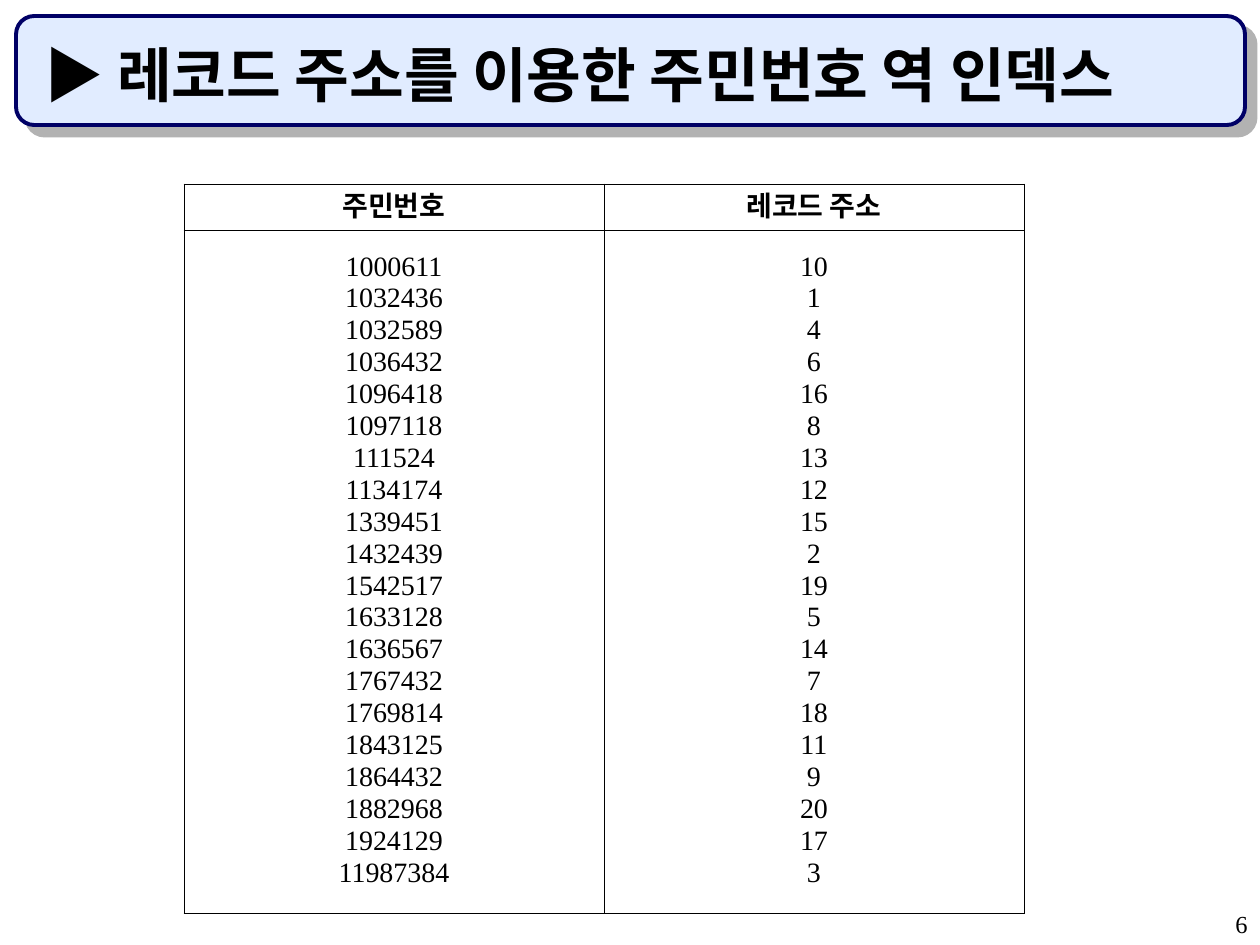
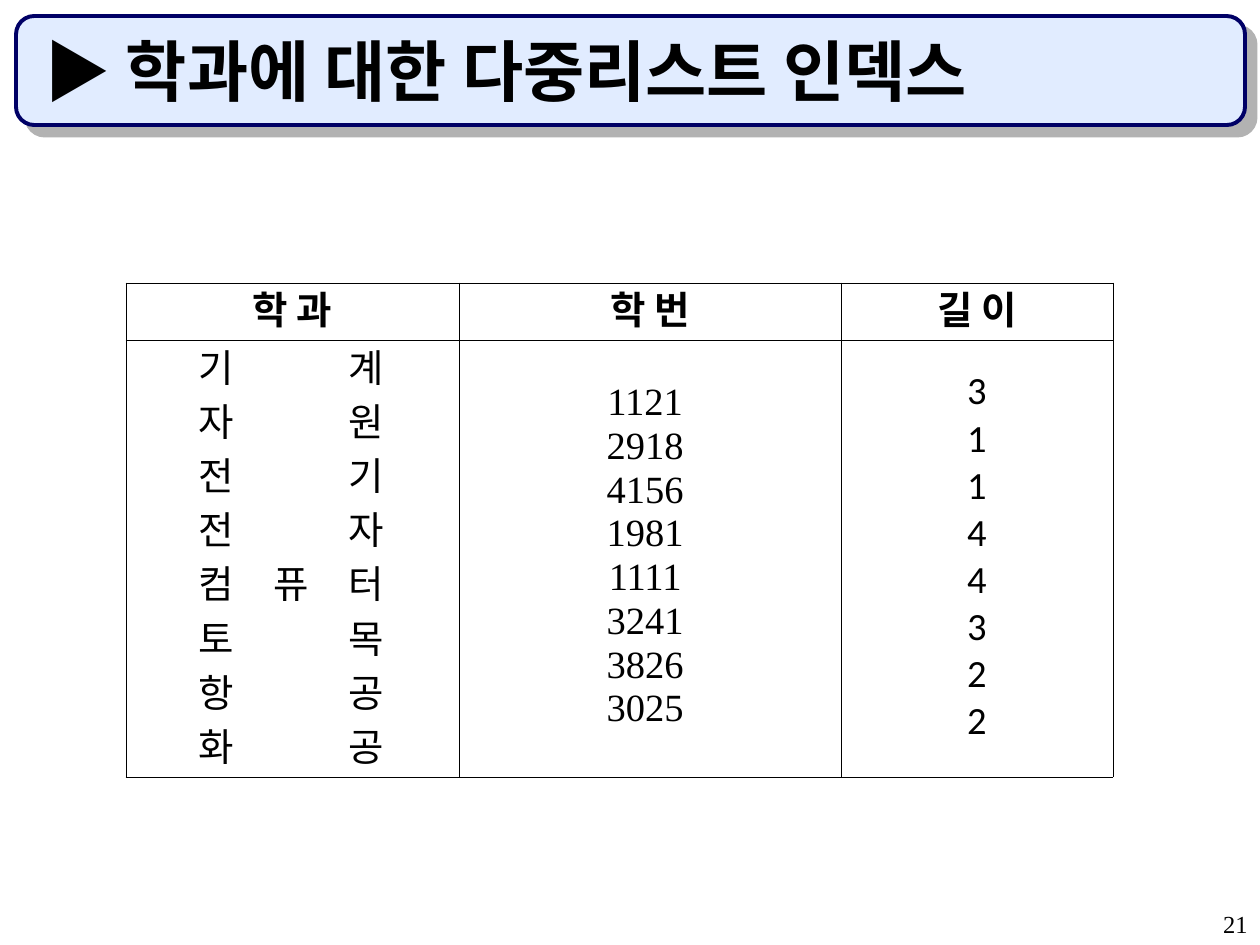
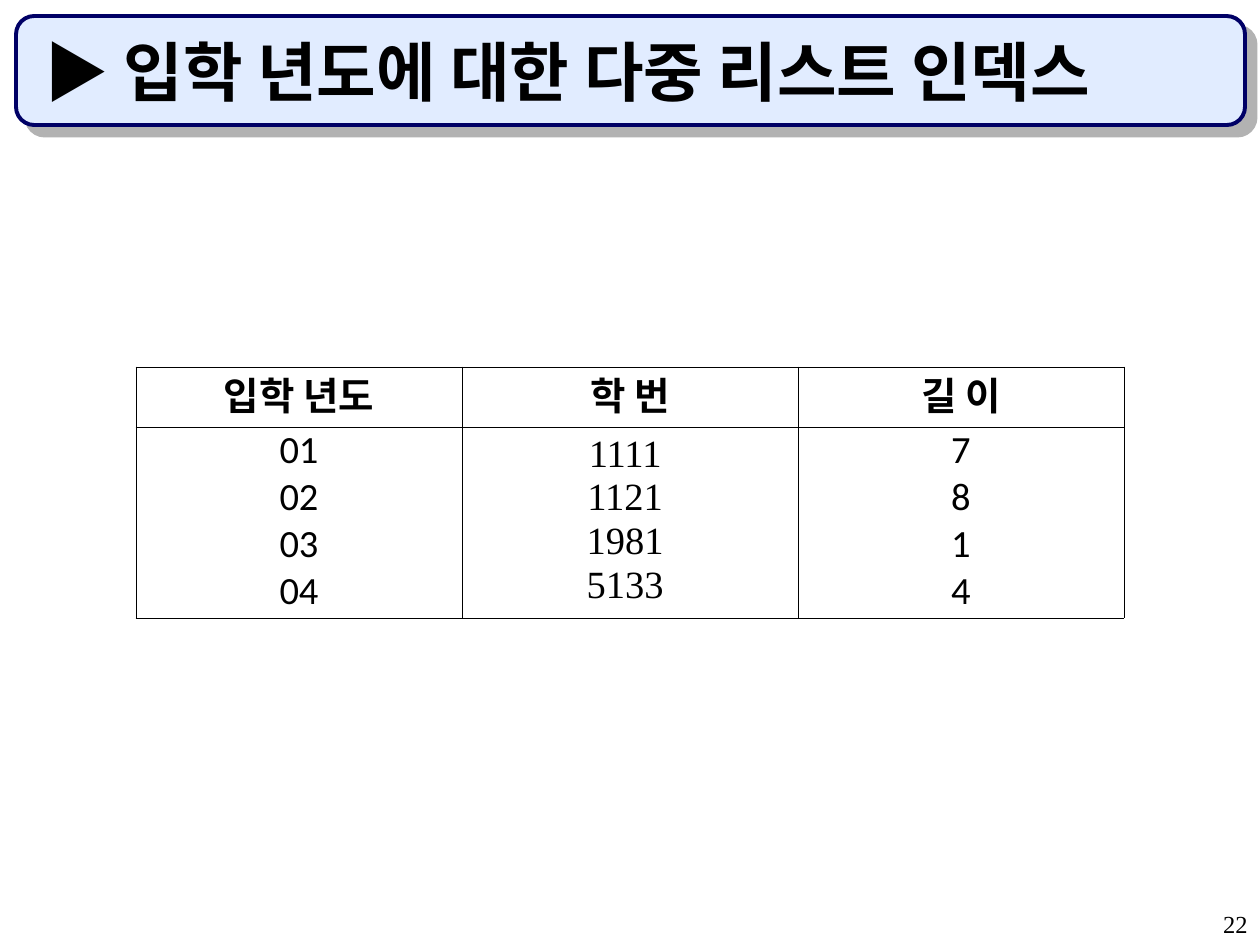
from dataclasses import dataclass
from typing import NamedTuple

from lxml.etree import SubElement
from pptx import Presentation
from pptx.dml.color import RGBColor
from pptx.enum.shapes import MSO_SHAPE
from pptx.enum.text import MSO_ANCHOR, PP_ALIGN
from pptx.oxml.ns import qn
from pptx.slide import Slide
from pptx.text.text import TextFrame
from pptx.util import Emu, Pt

PX_PER_INCH = 126
SERIF, SANS, HANGUL = "Times New Roman", "Calibri", "Noto Sans CJK KR"


@dataclass(frozen=True)
class Theme:
    """Colours and type sizes shared by all slides."""
    ink: str = "000000"
    band: str = "E1ECFF"
    band_edge: str = "000066"
    band_shadow: str = "B2B2B2"
    band_edge_width: float = 2.25
    shadow_distance: float = 8.5
    rule_width: float = 0.45
    page_size: int = 14
    line_spacing: float = 0.8


class Box(NamedTuple):
    """A rectangle in px."""
    left: int
    top: int
    width: int
    height: int


@dataclass(frozen=True)
class Column:
    """One table column: its heading and the lines of its body cell."""
    heading: str
    width: int
    lines: list[str]
    font: str = SERIF
    tab_step: int = 0
    indent: int = 0


@dataclass(frozen=True)
class IndexSlide:
    """The content of one index slide."""
    title: str
    title_size: int
    page: int
    left: int
    top: int
    heading_height: int
    body_height: int
    size: int
    space_before: float
    columns: list[Column]


THEME = Theme()
BAND = Box(16, 16, 1229, 109)
TITLE = Box(32, 32, 1187, 84)
PAGE = Box(998, 903, 262, 42)

INDEXES = [
    IndexSlide(
        "▶ 레코드 주소를 이용한 주민번호 역 인덱스", 34, 6, 184, 184, 46, 683, 16, 4,
        [
            Column("주민번호", 420, [
                "1000611", "1032436", "1032589", "1036432", "1096418",
                "1097118", "111524", "1134174", "1339451", "1432439",
                "1542517", "1633128", "1636567", "1767432", "1769814",
                "1843125", "1864432", "1882968", "1924129", "11987384"]),
            Column("레코드 주소", 420, [
                "10", "1", "4", "6", "16", "8", "13", "12", "15", "2",
                "19", "5", "14", "7", "18", "11", "9", "20", "17", "3"]),
        ]),
    IndexSlide(
        "▶ 학과에 대한 다중리스트 인덱스", 38, 21, 126, 283, 57, 437, 22, 5.5,
        [
            Column("학 과", 333, [
                "기\t계", "자\t원", "전\t기", "전\t자",
                "컴\t퓨\t터", "토\t목", "항\t공", "화\t공"],
                HANGUL, tab_step=75, indent=73),
            Column("학 번", 382, [
                "1121 ", "2918 ", "4156 ", "1981 ",
                "1111 ", "3241 ", "3826 ", "3025 "]),
            Column("길 이", 272, ["3", "1", "1", "4", "4", "3", "2", "2"], SANS),
        ]),
    IndexSlide(
        "▶ 입학 년도에 대한 다중 리스트 인덱스", 37, 22, 136, 367, 60, 191, 22, 5.5,
        [
            Column("입학 년도", 326, ["01", "02", "03", "04"], SANS),
            Column("학 번", 336, ["1111 ", "1121 ", "1981 ", "5133 "]),
            Column("길 이", 326, ["7", "8", "1", "4"], SANS),
        ]),
]


def px(length: int) -> Emu:
    """Turn px into EMU."""
    return Emu(round(length * 914400 / PX_PER_INCH))


def emu_box(box: Box) -> list[Emu]:
    """Turn a px box into EMU lengths."""
    return [px(length) for length in box]


def add_tabs(paragraph, line: str, step: int) -> None:
    """Set stops that spread the line's parts over two steps."""
    parts = line.count("\t")
    stops = SubElement(paragraph._p.get_or_add_pPr(), qn("a:tabLst"))
    for part in range(1, parts + 1):
        SubElement(stops, qn("a:tab"), pos=str(px(2 * step * part // parts)), algn="l")


def write_text(frame: TextFrame, lines: list[str], *, size: float, font: str = SERIF,
               bold: bool = False, align: PP_ALIGN = PP_ALIGN.LEFT,
               line_spacing: float | None = None, space_before: float = 0,
               tab_step: int = 0) -> None:
    """Write each line as one formatted paragraph."""
    for number, line in enumerate(lines):
        paragraph = frame.add_paragraph() if number else frame.paragraphs[0]
        if tab_step:
            add_tabs(paragraph, line, tab_step)
        paragraph.alignment = align
        paragraph.line_spacing = line_spacing
        if number and space_before:
            paragraph.space_before = Pt(space_before)
        run = paragraph.add_run()
        run.text = line
        run.font.size = Pt(size)
        run.font.name = font
        run.font.bold = bold
        run.font.color.rgb = RGBColor.from_string(THEME.ink)
        SubElement(run._r.get_or_add_rPr(), qn("a:ea"), typeface=HANGUL)


def draw_band(slide: Slide) -> None:
    """Draw the rounded title band with its hard shadow."""
    band = slide.shapes.add_shape(MSO_SHAPE.ROUNDED_RECTANGLE, *emu_box(BAND))
    band.adjustments[0] = 0.167
    band.fill.solid()
    band.fill.fore_color.rgb = RGBColor.from_string(THEME.band)
    band.line.color.rgb = RGBColor.from_string(THEME.band_edge)
    band.line.width = Pt(THEME.band_edge_width)
    band.shadow.inherit = False
    effects = band._element.spPr.find(qn("a:effectLst"))
    shadow = SubElement(effects, qn("a:outerShdw"), dist=str(Pt(THEME.shadow_distance)),
                        dir=str(45 * 60000), algn="ctr", rotWithShape="0")
    SubElement(shadow, qn("a:srgbClr"), val=THEME.band_shadow)


def draw_label(slide: Slide, box: Box, text: str, *, anchor: MSO_ANCHOR = MSO_ANCHOR.TOP,
               size: float, bold: bool = False, align: PP_ALIGN = PP_ALIGN.LEFT) -> None:
    """Place one line of text in its own box."""
    frame = slide.shapes.add_textbox(*emu_box(box)).text_frame
    frame.word_wrap = True
    frame.vertical_anchor = anchor
    write_text(frame, [text], size=size, bold=bold, align=align)


def style_cell(cell) -> None:
    """Give a cell thin rules, no fill and a middle anchor."""
    properties = cell._tc.get_or_add_tcPr()
    for side in ("lnL", "lnR", "lnT", "lnB"):
        rule = SubElement(properties, qn(f"a:{side}"), w=str(Pt(THEME.rule_width)))
        SubElement(SubElement(rule, qn("a:solidFill")), qn("a:srgbClr"), val=THEME.ink)
    cell.fill.background()
    cell.vertical_anchor = MSO_ANCHOR.MIDDLE


def draw_index(slide: Slide, index: IndexSlide) -> None:
    """Draw the index table: a heading row over one tall body row."""
    heights = (index.heading_height, index.body_height)
    box = Box(index.left, index.top, sum(c.width for c in index.columns), sum(heights))
    table = slide.shapes.add_table(2, len(index.columns), *emu_box(box)).table
    table.first_row = table.horz_banding = False
    for row, height in zip(table.rows, heights):
        row.height = px(height)
    for position, column in enumerate(index.columns):
        table.columns[position].width = px(column.width)
        heading, body = table.cell(0, position), table.cell(1, position)
        style_cell(heading)
        style_cell(body)
        if column.indent:
            body.margin_left = px(column.indent)
        write_text(heading.text_frame, [column.heading], size=index.size, bold=True,
                   align=PP_ALIGN.CENTER, line_spacing=THEME.line_spacing)
        write_text(body.text_frame, column.lines, size=index.size, font=column.font,
                   align=PP_ALIGN.LEFT if column.tab_step else PP_ALIGN.CENTER,
                   line_spacing=THEME.line_spacing, space_before=index.space_before,
                   tab_step=column.tab_step)


def main() -> None:
    """Build the index slides and save them."""
    deck = Presentation()
    deck.slide_width, deck.slide_height = px(1260), px(945)
    for index in INDEXES:
        slide = deck.slides.add_slide(deck.slide_layouts[6])
        draw_band(slide)
        draw_label(slide, PAGE, str(index.page), size=THEME.page_size, align=PP_ALIGN.RIGHT)
        draw_label(slide, TITLE, index.title, anchor=MSO_ANCHOR.BOTTOM,
                   size=index.title_size, bold=True)
        draw_index(slide, index)
    deck.save("out.pptx")


if __name__ == "__main__":
    main()
